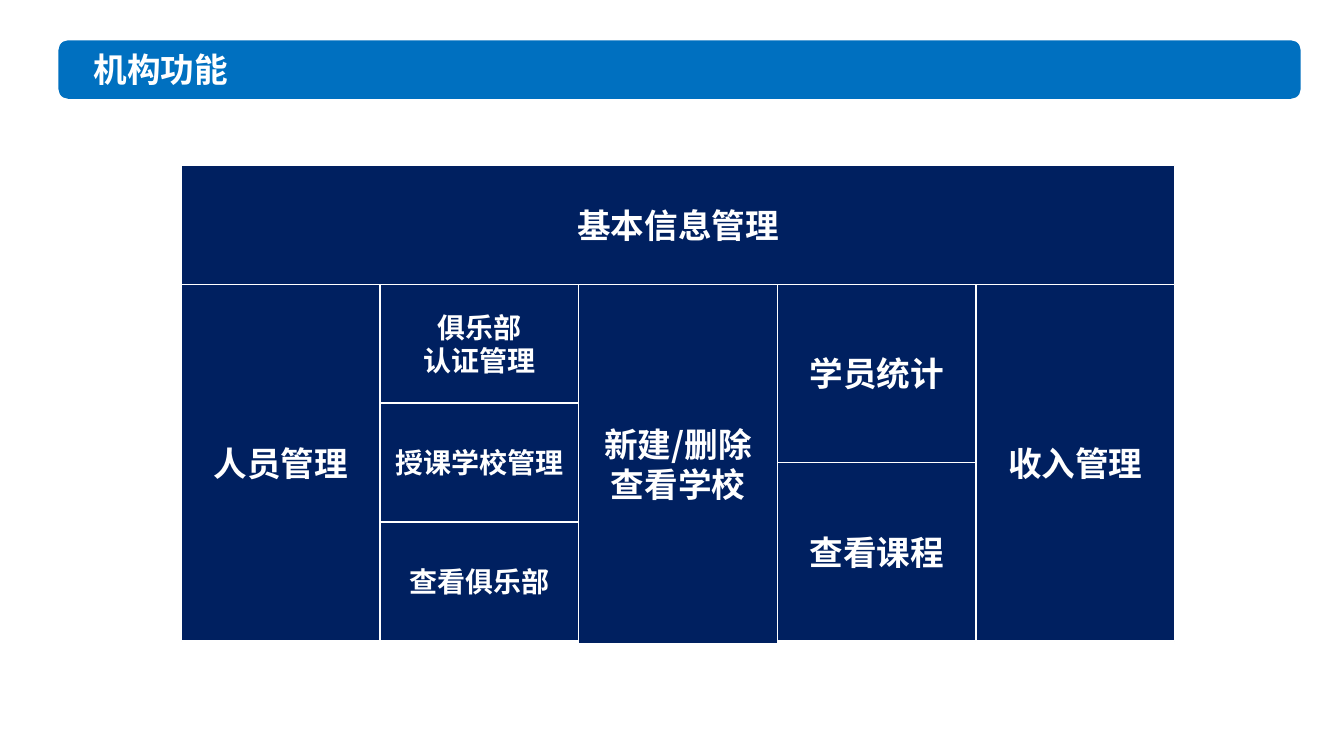
from lxml.etree import SubElement
from pptx import Presentation
from pptx.dml.color import RGBColor
from pptx.enum.shapes import MSO_SHAPE
from pptx.enum.text import MSO_ANCHOR, PP_ALIGN
from pptx.oxml.ns import qn
from pptx.util import Inches, Pt

# Content: (column, cells from top to bottom, text size, extra height)
TITLE = "机构功能"
HEADER = "基本信息管理"
COLUMNS = [
    (0, ["人员管理"], 24, 0),
    (1, ["俱乐部\n认证管理", "授课学校管理", "查看俱乐部"], 20, 0),
    (3, ["学员统计", "查看课程"], 24, 0),
    (4, ["收入管理"], 24, 0),
    (2, ["新建/删除\n查看学校"], 24, 0.03),
]

# Style
FONT = "Noto Sans CJK SC"
BLUE = RGBColor(0x00, 0x70, 0xC0)
NAVY = RGBColor(0x00, 0x20, 0x60)
WHITE = RGBColor(0xFF, 0xFF, 0xFF)

# Grid in inches: a header row above three rows
LEFT, TOP = 1.8, 1.64
COL_W, ROW_H = 1.97, 1.18
BODY_TOP, BODY_H = TOP + ROW_H, 3 * ROW_H


def write(tf, text, size, **paragraph_format):
    tf.word_wrap = True
    for i, line in enumerate(text.split("\n")):
        p = tf.paragraphs[0] if i == 0 else tf.add_paragraph()
        for name, value in paragraph_format.items():
            setattr(p, name, value)
        r = p.add_run()
        r.text = line
        for name, value in {"size": Pt(size), "bold": True, "name": FONT}.items():
            setattr(r.font, name, value)
        r.font.color.rgb = WHITE
        SubElement(r.font._element, qn("a:ea"), typeface=FONT)


def add_block(shapes, kind, box, fill):
    sp = shapes.add_shape(kind, *map(Inches, box))
    sp.shadow.inherit = False
    sp.fill.solid()
    sp.fill.fore_color.rgb = fill
    return sp


def add_cell(shapes, text, size, box):
    sp = add_block(shapes, MSO_SHAPE.RECTANGLE, box, NAVY)
    sp.line.color.rgb = WHITE
    sp.line.width = Pt(1)
    sp.text_frame.vertical_anchor = MSO_ANCHOR.MIDDLE
    write(sp.text_frame, text, size, alignment=PP_ALIGN.CENTER)


prs = Presentation()
prs.slide_width, prs.slide_height = Inches(13.33), Inches(7.5)
s = prs.slides.add_slide(prs.slide_layouts[6])

# Title bar
bar = add_block(s.shapes, MSO_SHAPE.ROUNDED_RECTANGLE, (0.58, 0.4, 12.32, 0.58), BLUE)
bar.line.fill.background()
title = s.shapes.add_textbox(*map(Inches, (0.83, 0.48, 5.3, 0.5)))
write(title.text_frame, TITLE, 24, line_spacing=0.9, space_before=Pt(10))

# Header row
add_cell(s.shapes, HEADER, 24, (LEFT, TOP, 5 * COL_W, ROW_H))

# Columns, each split evenly; split ones are grouped
for col, cells, size, extra in COLUMNS:
    shapes = s.shapes.add_group_shape().shapes if len(cells) > 1 else s.shapes
    height = (BODY_H + extra) / len(cells)
    for i, text in enumerate(cells):
        box = (LEFT + col * COL_W, BODY_TOP + i * height, COL_W, height)
        add_cell(shapes, text, size, box)

prs.save("out.pptx")
